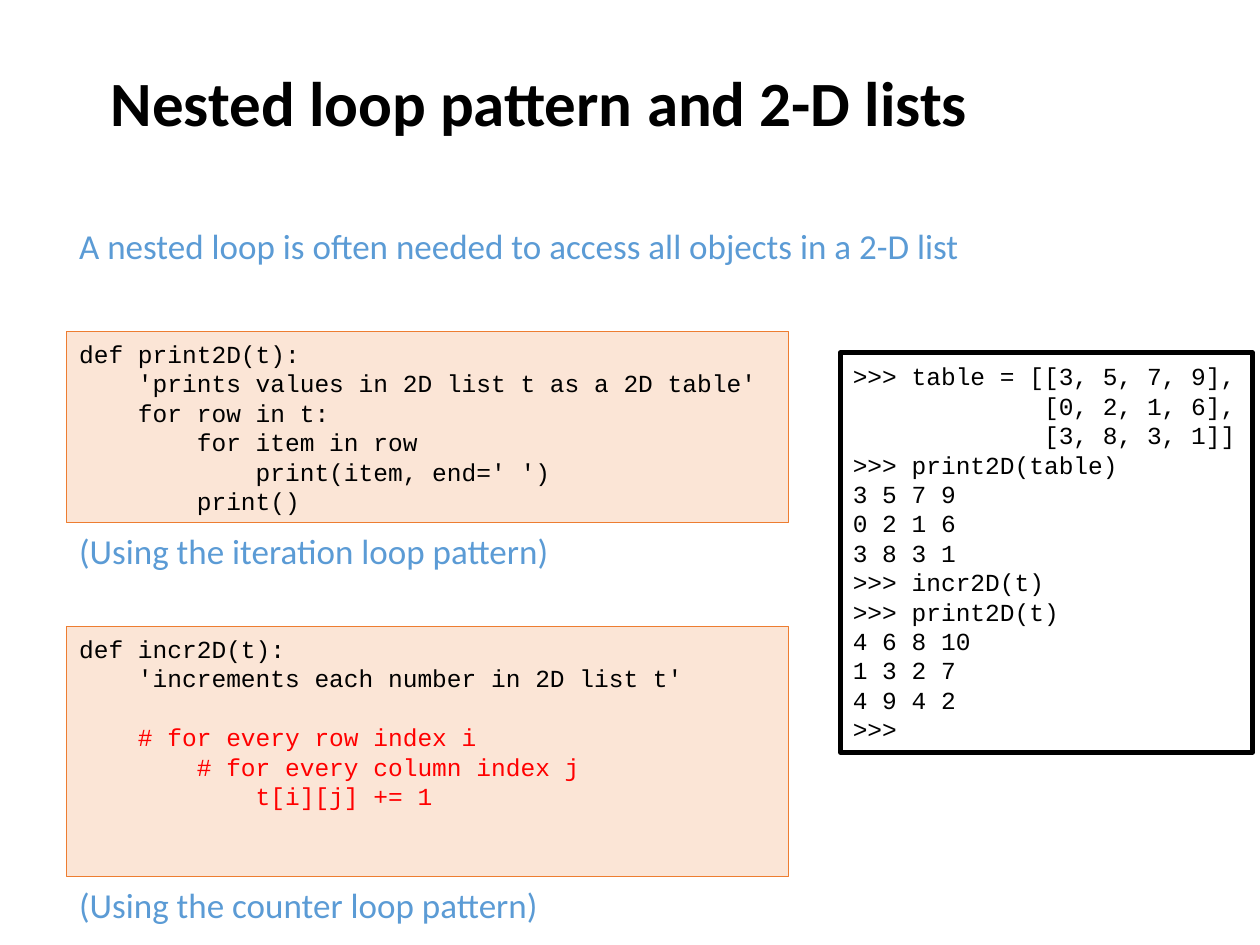
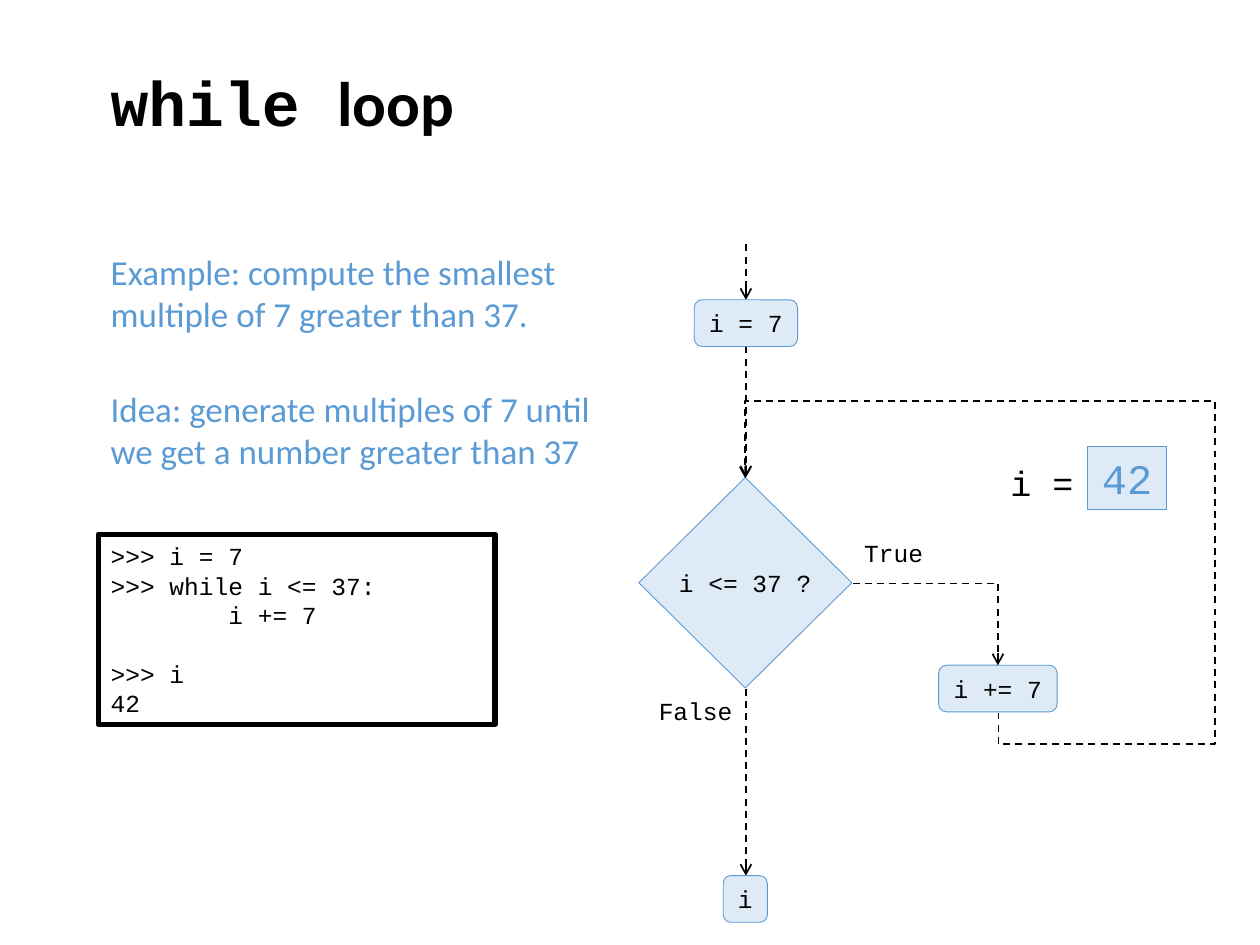
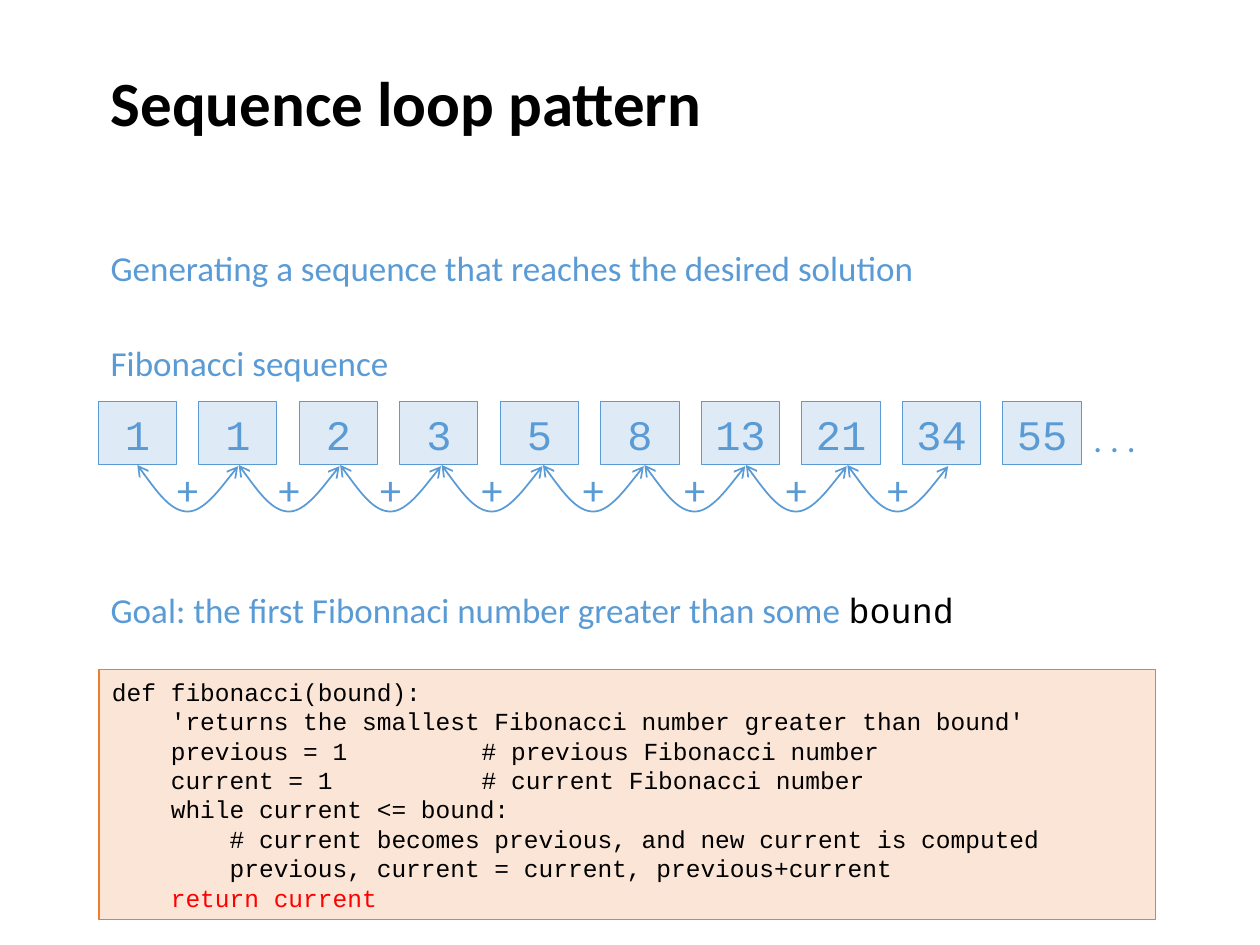
from pptx import Presentation
from pptx.dml.color import RGBColor
from pptx.enum.dml import MSO_LINE
from pptx.enum.shapes import MSO_CONNECTOR, MSO_SHAPE
from pptx.enum.text import MSO_ANCHOR, PP_ALIGN
from pptx.oxml.ns import qn
from pptx.util import Inches, Pt
from lxml.etree import SubElement

BLACK = RGBColor(0x00, 0x00, 0x00)
WHITE = RGBColor(0xFF, 0xFF, 0xFF)
RED = RGBColor(0xFF, 0x00, 0x00)
BLUE = RGBColor(0x5B, 0x9B, 0xD5)
PALE_BLUE = RGBColor(0xDE, 0xEB, 0xF7)
ORANGE = RGBColor(0xED, 0x7D, 0x31)
PALE_ORANGE = RGBColor(0xFB, 0xE5, 0xD6)

BODY = "Calibri"
MONO = "Courier New"
PITCH = 16.8

PRINT_2D = """def print2D(t):
    'prints values in 2D list t as a 2D table'
    for row in t:
        for item in row
            print(item, end=' ')
        print()"""

INCR_2D = """def incr2D(t):
    'increments each number in 2D list t'

    # for every row index i
        # for every column index j
            t[i][j] += 1"""

TABLE_SESSION = """>>> table = [[3, 5, 7, 9],
             [0, 2, 1, 6],
             [3, 8, 3, 1]]
>>> print2D(table)
3 5 7 9
0 2 1 6
3 8 3 1
>>> incr2D(t)
>>> print2D(t)
4 6 8 10
1 3 2 7
4 9 4 2
>>>"""

WHILE_SESSION = """>>> i = 7
>>> while i <= 37:
        i += 7

>>> i
42"""

FIBONACCI = """def fibonacci(bound):
    'returns the smallest Fibonacci number greater than bound'
    previous = 1\t        # previous Fibonacci number
    current = 1\t        # current Fibonacci number
    while current <= bound:
        # current becomes previous, and new current is computed
        previous, current = current, previous+current
    return current"""


def write(p, text, size=20, font=BODY, color=BLUE, bold=False):
    """Add a formatted run to a paragraph."""
    r = p.add_run()
    r.text = text
    r.font.size = Pt(size)
    r.font.name = font
    r.font.color.rgb = color
    r.font.bold = bold


class Deck:
    """Hold the shared style and the current slide."""

    def __init__(self):
        """Start an empty 4:3 presentation."""
        self.prs = Presentation()
        self.prs.slide_width = Inches(10)
        self.prs.slide_height = Inches(7.5)

    def slide(self, *title):
        """Add a blank slide with its title runs."""
        self.s = self.prs.slides.add_slide(self.prs.slide_layouts[6])
        self.text(0.78, 0, 8.5, 1.61, *title, size=36, color=BLACK, bold=True)

    def text(self, x, y, w, h, *runs, wrap=True, **style):
        """Add a text box; a run is text or a pair of text and overrides."""
        sp = self.s.shapes.add_textbox(Inches(x), Inches(y), Inches(w), Inches(h))
        tf = sp.text_frame
        tf.word_wrap = wrap
        tf.vertical_anchor = MSO_ANCHOR.MIDDLE
        for run in runs:
            text, extra = (run, {}) if isinstance(run, str) else run
            write(tf.paragraphs[0], text, **{**style, **extra})

    def shape(self, kind, x, y, w, h, fill, line, weight=0.5):
        """Add a filled, outlined preset shape."""
        sp = self.s.shapes.add_shape(kind, Inches(x), Inches(y), Inches(w), Inches(h))
        sp.shadow.inherit = False
        sp.fill.solid()
        sp.fill.fore_color.rgb = fill
        sp.line.color.rgb = line
        sp.line.width = Pt(weight)
        sp.text_frame.vertical_anchor = MSO_ANCHOR.MIDDLE
        return sp

    def node(self, kind, x, y, w, h, text, size=14, color=BLACK):
        """Add a pale blue shape with centred monospaced text."""
        sp = self.shape(kind, x, y, w, h, PALE_BLUE, BLUE)
        tf = sp.text_frame
        tf.word_wrap = False
        p = tf.paragraphs[0]
        p.alignment = PP_ALIGN.CENTER
        write(p, text, size, MONO, color)
        return sp

    def cell(self, x, y, w, text):
        """Add a box that shows one value."""
        self.node(MSO_SHAPE.RECTANGLE, x, y, w, 0.5, text, 24, BLUE)

    def code(self, x, y, w, h, source, red_from=None, session=False, spare=0,
             soft=False):
        """Add a code box with spare room below; soft keeps one paragraph."""
        look = (WHITE, BLACK, 3) if session else (PALE_ORANGE, ORANGE)
        tf = self.shape(MSO_SHAPE.RECTANGLE, x, y, w, h, *look).text_frame
        tf.word_wrap = True
        tf.margin_bottom = Inches(0.05) + Pt(PITCH * spare)
        p, gap = tf.paragraphs[0], 0
        for i, line in enumerate(source.splitlines()):
            if i and soft:
                p.add_line_break()
            if not line:
                gap = 0 if soft else PITCH
                continue
            if i and not soft:
                p = tf.add_paragraph()
            p.alignment = PP_ALIGN.LEFT
            p.line_spacing = Pt(PITCH)
            if gap:
                p.space_before = Pt(gap)
                gap = 0
            red = red_from is not None and i >= red_from
            write(p, line, 14, MONO, RED if red else BLACK)

    def stroke(self, sp, color, dashed, ends):
        """Style a line and give it open arrowheads."""
        sp.line.color.rgb = color
        sp.line.width = Pt(1)
        if dashed:
            sp.line.dash_style = MSO_LINE.DASH
        ln = sp.element.spPr.find(qn("a:ln"))
        for end in ends:
            SubElement(ln, qn(f"a:{end}"), type="arrow")

    def arrow(self, x1, y1, x2, y2, kind=MSO_CONNECTOR.STRAIGHT):
        """Add a dashed arrow."""
        sp = self.s.shapes.add_connector(kind, Inches(x1), Inches(y1),
                                         Inches(x2), Inches(y2))
        self.stroke(sp, BLACK, True, ["tailEnd"])
        SubElement(sp.element.spPr, qn("a:effectLst"))
        return sp

    def elbow(self, start, end, frame, preset, adjust=(), **turn):
        """Add a bent arrow between sites of two nodes."""
        x, y, w, h = frame
        sp = self.arrow(x, y, x + w, y + h, MSO_CONNECTOR.ELBOW)
        sp.begin_connect(*start)
        sp.end_connect(*end)
        xfrm = sp.element.spPr.find(qn("a:xfrm"))
        for flip in ("flipH", "flipV"):
            xfrm.attrib.pop(flip, None)
        sp.left, sp.top, sp.width, sp.height = [Inches(v) for v in frame]
        for name, value in turn.items():
            xfrm.set(name, str(value))
        geom = sp.element.spPr.find(qn("a:prstGeom"))
        geom.set("prst", preset)
        guides = geom.find(qn("a:avLst"))
        for k, value in enumerate(adjust, 1):
            SubElement(guides, qn("a:gd"), name=f"adj{k}", fmla=f"val {value}")

    def plus_arc(self, x):
        """Add a hanging two-headed arc with a plus sign."""
        points = [(0, 3.69), (0.13, 3.87), (0.27, 4.06), (0.4, 4.06),
                  (0.53, 4.06), (0.8, 3.7), (0.8, 3.7)]
        first, *rest = [(Inches(x + dx), Inches(y)) for dx, y in points]
        builder = self.s.shapes.build_freeform(*first)
        builder.add_line_segments(rest, close=False)
        sp = builder.convert_to_shape()
        outline = next(sp.element.spPr.iter(qn("a:path")))
        lines = outline.findall(qn("a:lnTo"))
        for k in range(0, len(lines), 3):
            curve = SubElement(outline, qn("a:cubicBezTo"))
            for line in lines[k:k + 3]:
                curve.append(line[0])
                outline.remove(line)
        sp.fill.background()
        self.stroke(sp, BLUE, False, ["headEnd", "tailEnd"])
        sp.shadow.inherit = False
        tf = sp.text_frame
        tf.vertical_anchor = MSO_ANCHOR.MIDDLE
        p = tf.paragraphs[0]
        p.alignment = PP_ALIGN.CENTER
        write(p, "+", 24)


def nested_loops(d):
    """Build the slide on 2-D lists."""
    d.slide("Nested loop pattern and 2-D lists")
    d.text(0.53, 1.73, 8.96, 0.44,
           "A nested loop is often needed to access all objects in a 2-D list")
    d.code(0.53, 2.63, 5.73, 1.52, PRINT_2D)
    d.text(0.53, 4.15, 4, 0.44, "(Using the iteration loop pattern)")
    d.code(0.53, 4.97, 5.73, 1.99, INCR_2D, red_from=3, spare=2)
    d.code(6.67, 2.8, 3.27, 3.17, TABLE_SESSION, session=True)
    d.text(0.53, 6.96, 4, 0.44, "(Using the counter loop pattern)")


def while_loop(d):
    """Build the slide with the while flowchart."""
    d.slide(("while ", {"font": MONO}), "loop")
    axis, step_x = 5.92, 7.92
    for y1, y2 in [(1.94, 2.38), (2.75, 3.79), (5.47, 6.95)]:
        d.arrow(axis, y1, axis, y2)
    box = MSO_SHAPE.FLOWCHART_ALTERNATE_PROCESS
    d.node(box, 5.51, 2.38, 0.82, 0.37, "i = 7")
    test = d.node(MSO_SHAPE.FLOWCHART_DECISION, 5.07, 3.79, 1.69, 1.67, "i <= 37 ?")
    step = d.node(box, 7.45, 5.28, 0.94, 0.37, "i += 7")
    d.node(box, 5.74, 6.95, 0.35, 0.37, "i")
    d.elbow((test, 3), (step, 0), (6.77, 4.63, step_x - 6.77, 0.65), "bentConnector2")
    d.elbow((step, 2), (test, 0), (5.99, 3.72, 1.86, 2.01), "bentConnector5",
            (-13500, -85500, 133000), rot=90 * 60000, flipH=1)
    for x, y, text in [(5.13, 5.47, "False"), (6.76, 4.22, "True")]:
        d.text(x, y, 0.79, 0.34, text, wrap=False, size=14, font=MONO, color=BLACK)
    d.text(step_x, 3.61, 0.71, 0.44, "i =", wrap=False, font=MONO, color=BLACK)
    d.cell(8.63, 3.54, 0.63, "42")
    d.code(0.78, 4.24, 3.15, 1.51, WHILE_SESSION, session=True, soft=True)
    d.text(0.78, 1.94, 4.32, 0.77,
           "Example: compute the smallest multiple of 7 greater than 37.")
    d.text(0.78, 3.02, 4.3, 0.77,
           "Idea: generate multiples of 7 until we get a number greater than 37")


def sequence_loop(d):
    """Build the slide on the Fibonacci sequence."""
    d.slide("Sequence loop pattern")
    d.text(0.78, 1.9, 6.64, 0.44,
           "Generating a sequence that reaches the desired solution", wrap=False)
    for i, n in enumerate([1, 1, 2, 3, 5, 8, 13, 21, 34, 55]):
        d.cell(0.78 + 7.18 / 9 * i, 3.19, 0.62, str(n))
    d.text(8.58, 3.26, 0.54, 0.44, ". . .", wrap=False)
    for i in range(8):
        d.plus_arc(1.09 + 0.805 * i)
    d.text(0.78, 2.66, 2.43, 0.44, "Fibonacci sequence", wrap=False)
    d.text(0.78, 4.62, 7.12, 0.44, "Goal: the first Fibonnaci number greater than some ",
           ("bound", {"font": MONO, "color": BLACK}), wrap=False)
    d.shape(MSO_SHAPE.RECTANGLE, 0.78, 5.31, 8.38, 1.99, PALE_ORANGE, ORANGE)
    d.code(0.79, 5.31, 8.38, 1.99, FIBONACCI, red_from=7)


def main():
    """Build and save the deck."""
    d = Deck()
    nested_loops(d)
    while_loop(d)
    sequence_loop(d)
    d.prs.save("out.pptx")


if __name__ == "__main__":
    main()
